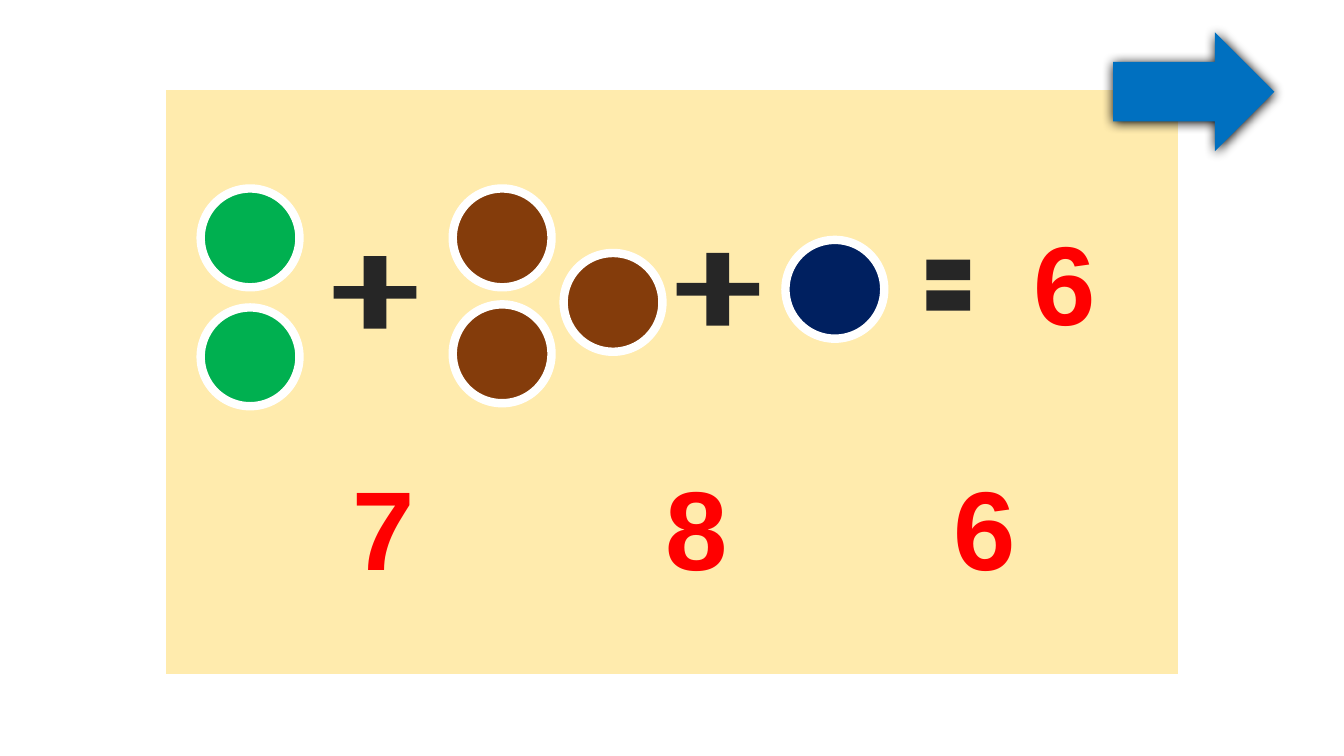
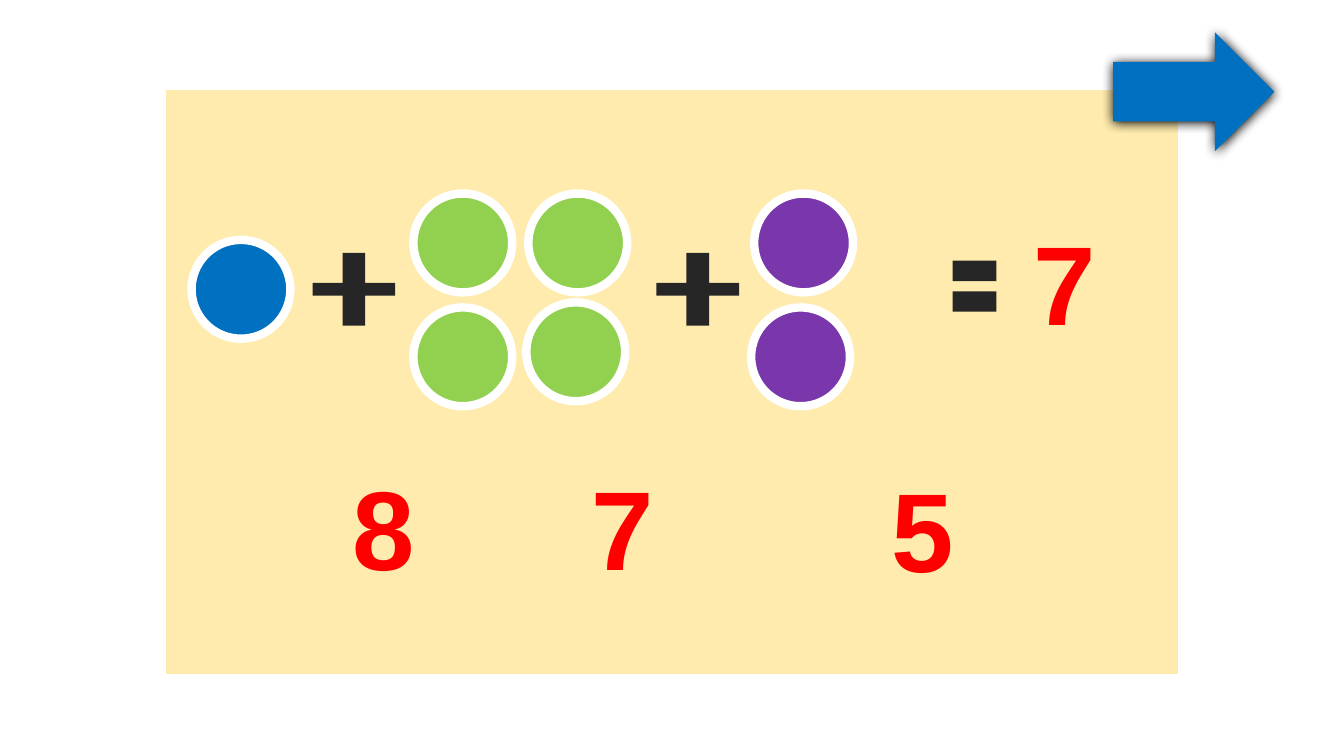
from lxml.etree import SubElement
from pptx import Presentation
from pptx.dml.color import RGBColor
from pptx.enum.shapes import MSO_SHAPE
from pptx.enum.text import MSO_AUTO_SIZE, PP_ALIGN
from pptx.oxml import parse_xml
from pptx.oxml.ns import nsdecls, qn
from pptx.util import Inches, Pt

CELL = Inches(0.1)  # the grid has square cells, 133.33 columns by 75 rows
COUNTER_SIZE = (9.8, 9.8)
PLUS_SIZE = (8.2, 7.2)
EQUALS_SIZE = (5.9, 8.6)
NUMBER_SIZE = (16.4, 14.5)
ANSWER_PLACE = (97.4, 20.7)

PANEL, WHITE, INK = "FFE699", "FFFFFF", "262626"
RED, LIME, GREEN = "FF0000", "92D050", "00B050"
BLUE, NAVY = "0070C0", "002060"
BROWN, PURPLE = "843C0B", "7937AB"

NUMBER_FONT = {"name": "Arial", "size": Pt(80), "bold": True}
NUMBER_FRAME = {"word_wrap": True, "auto_size": MSO_AUTO_SIZE.SHAPE_TO_FIT_TEXT}

# Every place is (column, row) of the upper left corner.
SUMS = [
    {
        "counters": [
            (GREEN, [(19.9, 30.5), (19.9, 18.7)]),
            (BROWN, [(44.9, 30.2), (44.9, 18.7), (55.9, 25.1)]),
            (NAVY, [(77.9, 23.8)]),
        ],
        "pluses": [(33.1, 25.4), (67.1, 25.1)],
        "equals": (91.1, 24),
        "answer": "6",
        "choices": [("7", (29.9, 45)), ("8", (60.9, 45)), ("6", (89.5, 45))],
    },
    {
        "counters": [
            (BLUE, [(19, 23.8)]),
            (LIME, [(52.2, 30), (41, 30.5), (41, 19.2), (52.4, 19.2)]),
            (PURPLE, [(74.8, 19.2), (74.5, 30.5)]),
        ],
        "pluses": [(31, 25.1), (65.1, 25.1)],
        "equals": (93.7, 24.1),
        "answer": "7",
        "choices": [("8", (29.9, 45)), ("7", (53.6, 45)), ("5", (83.3, 45.2))],
    },
]


def paint(color_format, code):
    color_format.rgb = RGBColor.from_string(code)


def apply(target, values):
    for name, value in values.items():
        setattr(target, name, value)


def cells(place, size):
    return [round(length * CELL) for length in (*place, *size)]


class SumDeck:
    def __init__(self):
        self.deck = Presentation()
        apply(self.deck, {"slide_width": Inches(13.33), "slide_height": Inches(7.5)})
        self.page = None

    def new_page(self):
        self.page = self.deck.slides.add_slide(self.deck.slide_layouts[6])
        self.panel()
        self.next_arrow()

    def shape(self, kind, place, size, fill, line=None, line_width=0):
        shape = self.page.shapes.add_shape(kind, *cells(place, size))
        shape.shadow.inherit = False
        shape.fill.solid()
        paint(shape.fill.fore_color, fill)
        if line:
            paint(shape.line.color, line)
            shape.line.width = Pt(line_width)
        else:
            shape.line.fill.background()
        return shape

    def panel(self):
        box = self.shape(MSO_SHAPE.RECTANGLE, (16.2, 8.6), (101, 58.6), PANEL, WHITE, 4.5)
        color = box._element.spPr.find(qn("a:solidFill"))[0]
        SubElement(color, qn("a:alpha"), val="80000")

    def next_arrow(self):
        arrow = self.shape(MSO_SHAPE.RIGHT_ARROW, (110.4, 3.2), (16, 11.8), BLUE)
        effects = arrow._element.spPr.find(qn("a:effectLst"))
        shadow = SubElement(effects, qn("a:outerShdw"), blurRad=str(Pt(8.5)),
                            dist=str(Pt(1)), dir="5400000", rotWithShape="0")
        SubElement(shadow, qn("a:srgbClr"), val="000000")

    def counter(self, place, color):
        self.shape(MSO_SHAPE.OVAL, place, COUNTER_SIZE, color, WHITE, 6)

    def plus(self, place):
        self.shape(MSO_SHAPE.CROSS, place, PLUS_SIZE, INK).adjustments[0] = 0.413

    def equals(self, place):
        self.shape(MSO_SHAPE.MATH_EQUAL, place, EQUALS_SIZE, INK)

    def number(self, text, place):
        box = self.page.shapes.add_textbox(*cells(place, NUMBER_SIZE))
        apply(box.text_frame, NUMBER_FRAME)
        para = box.text_frame.paragraphs[0]
        para.alignment = PP_ALIGN.CENTER
        span = para.add_run()
        span.text = text
        apply(span.font, NUMBER_FONT)
        paint(span.font.color, RED)
        outline = parse_xml(
            f'<a:ln {nsdecls("a")} w="{Pt(4.5)}"><a:solidFill>'
            f'<a:srgbClr val="{LIME}"/></a:solidFill></a:ln>')
        span._r.get_or_add_rPr().insert(0, outline)

    def sum_page(self, task):
        self.new_page()
        for color, places in task["counters"]:
            for place in places:
                self.counter(place, color)
        for place in task["pluses"]:
            self.plus(place)
        self.equals(task["equals"])
        self.number(task["answer"], ANSWER_PLACE)
        for text, place in task["choices"]:
            self.number(text, place)


def main():
    sums = SumDeck()
    for task in SUMS:
        sums.sum_page(task)
    sums.deck.save("out.pptx")


if __name__ == "__main__":
    main()
